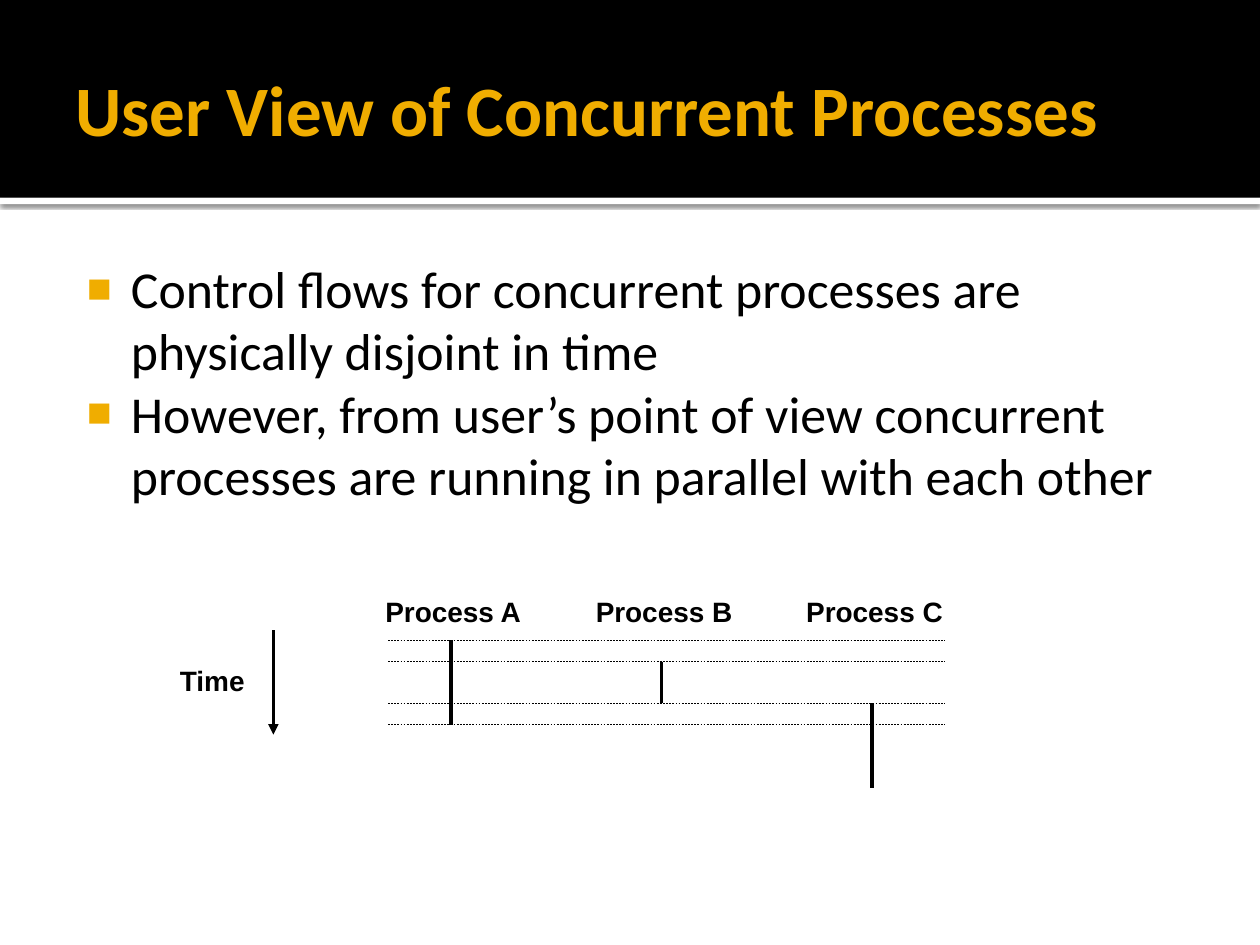
"""Build the slide on the user view of concurrent processes."""
from lxml import etree
from pptx import Presentation
from pptx.dml.color import RGBColor
from pptx.enum.dml import MSO_LINE
from pptx.enum.shapes import MSO_CONNECTOR, MSO_SHAPE
from pptx.enum.text import MSO_ANCHOR as ANCHOR, MSO_AUTO_SIZE as AUTO
from pptx.oxml.ns import qn
from pptx.util import Inches, Pt

COLORS = {"gold": "F0AD00", "black": "000000", "white": "FFFFFF"}
TITLE = "User View of Concurrent Processes"
BULLETS = [
    "Control flows for concurrent processes are physically disjoint in time",
    "However, from user’s point of view concurrent processes are running in parallel with each other",
]
PROCESSES = [
    ("Process A", [(5.08, 5.42), (5.42, 5.75)]),
    ("Process B", [(5.25, 5.58)]),
    ("Process C", [(5.58, 5.92), (5.92, 6.25)]),
]
SWITCH_TIMES = [5.08, 5.25, 5.58, 5.75]
FIRST_X, STEP_X = 3.58, 1.67
LABEL_W, LABEL_H = 1.29, 0.37


def color(name):
    return RGBColor.from_string(COLORS[name])


def add_child(parent, tag, **attrs):
    return etree.SubElement(parent, qn(tag), attrs)


def add_bar(slide, top, height, fill):
    bar = slide.shapes.add_shape(MSO_SHAPE.RECTANGLE, 0, Inches(top), Inches(10), Inches(height))
    bar.shadow.inherit = False
    bar.fill.solid()
    bar.fill.fore_color.rgb = color(fill)
    bar.line.fill.background()
    return bar


def add_drop_shadow(shape):
    effects = shape._element.spPr.find(qn("a:effectLst"))
    shadow = add_child(effects, "a:outerShdw", blurRad=str(Pt(2.5)), dist=str(Pt(0.8)),
                       dir="5400000", algn="tl", rotWithShape="0")
    add_child(add_child(shadow, "a:srgbClr", val=COLORS["black"]), "a:alpha", val="60000")


def add_bullet(p):
    pPr = p._p.get_or_add_pPr()
    pPr.set("marL", str(Inches(0.48)))
    pPr.set("indent", str(Inches(-0.35)))
    add_child(add_child(pPr, "a:buClr"), "a:srgbClr", val=COLORS["gold"])
    add_child(pPr, "a:buSzPct", val="80000")
    add_child(pPr, "a:buFont", typeface="Arial")
    add_child(pPr, "a:buChar", char="■")


def add_text(slide, paragraphs, box, size=16, font="Arial", fill="black", bold=False,
             insets=(0.1, 0.05, 0.1, 0.05), anchor=ANCHOR.TOP, wrap=True, bullets=False):
    s = slide.shapes.add_textbox(*map(Inches, box))
    tf = s.text_frame
    tf.word_wrap = wrap
    tf.auto_size = AUTO.NONE if wrap else AUTO.SHAPE_TO_FIT_TEXT
    tf.vertical_anchor = anchor
    tf.margin_left, tf.margin_top, tf.margin_right, tf.margin_bottom = map(Inches, insets)
    for i, text in enumerate(paragraphs):
        p = tf.add_paragraph() if i else tf.paragraphs[0]
        if bullets:
            add_bullet(p)
        r = p.add_run()
        r.text = text
        r.font.name, r.font.size, r.font.bold = font, Pt(size), bold
        r.font.color.rgb = color(fill)


def add_line(slide, x1, y1, x2, y2, width=2, dashed=False, arrow=False):
    line = slide.shapes.add_connector(MSO_CONNECTOR.STRAIGHT, *map(Inches, (x1, y1, x2, y2)))
    line.line.color.rgb = color("black")
    line.line.width = Pt(width)
    if dashed:
        line.line.dash_style = MSO_LINE.DASH
    if arrow:
        add_child(line.line._get_or_add_ln(), "a:tailEnd", type="triangle")
    add_child(line._element.spPr, "a:effectLst")


def main():
    prs = Presentation()
    prs.slide_width, prs.slide_height = Inches(10), Inches(7.5)
    slide = prs.slides.add_slide(prs.slide_layouts[6])

    add_drop_shadow(add_bar(slide, 1.57, 0.05, "white"))
    add_bar(slide, 0, 1.57, "black")
    add_text(slide, [TITLE], (0.5, 0.17, 9, 1.37), size=40.5, font="Calibri", fill="gold",
             bold=True, insets=(0.1, 0.05, 0.05, 0.05), anchor=ANCHOR.MIDDLE)
    add_text(slide, BULLETS, (0.5, 1.94, 9, 2.23), size=29.6, font="Calibri",
             insets=(0.06, 0.1, 0.1, 0.05), bullets=True)

    add_line(slide, 2.17, 5, 2.17, 5.83, arrow=True)
    add_text(slide, ["Time"], (1.33, 5.22, 0.72, LABEL_H), bold=True, wrap=False)
    for y in SWITCH_TIMES:
        add_line(slide, 3.08, y, 7.5, y, width=0.25, dashed=True)
    for i, (name, segments) in enumerate(PROCESSES):
        x = FIRST_X + i * STEP_X
        add_text(slide, [name], (x - 0.62, 4.67, LABEL_W, LABEL_H), bold=True, wrap=False)
        for start, end in segments:
            add_line(slide, x, start, x, end)

    prs.save("out.pptx")


if __name__ == "__main__":
    main()
